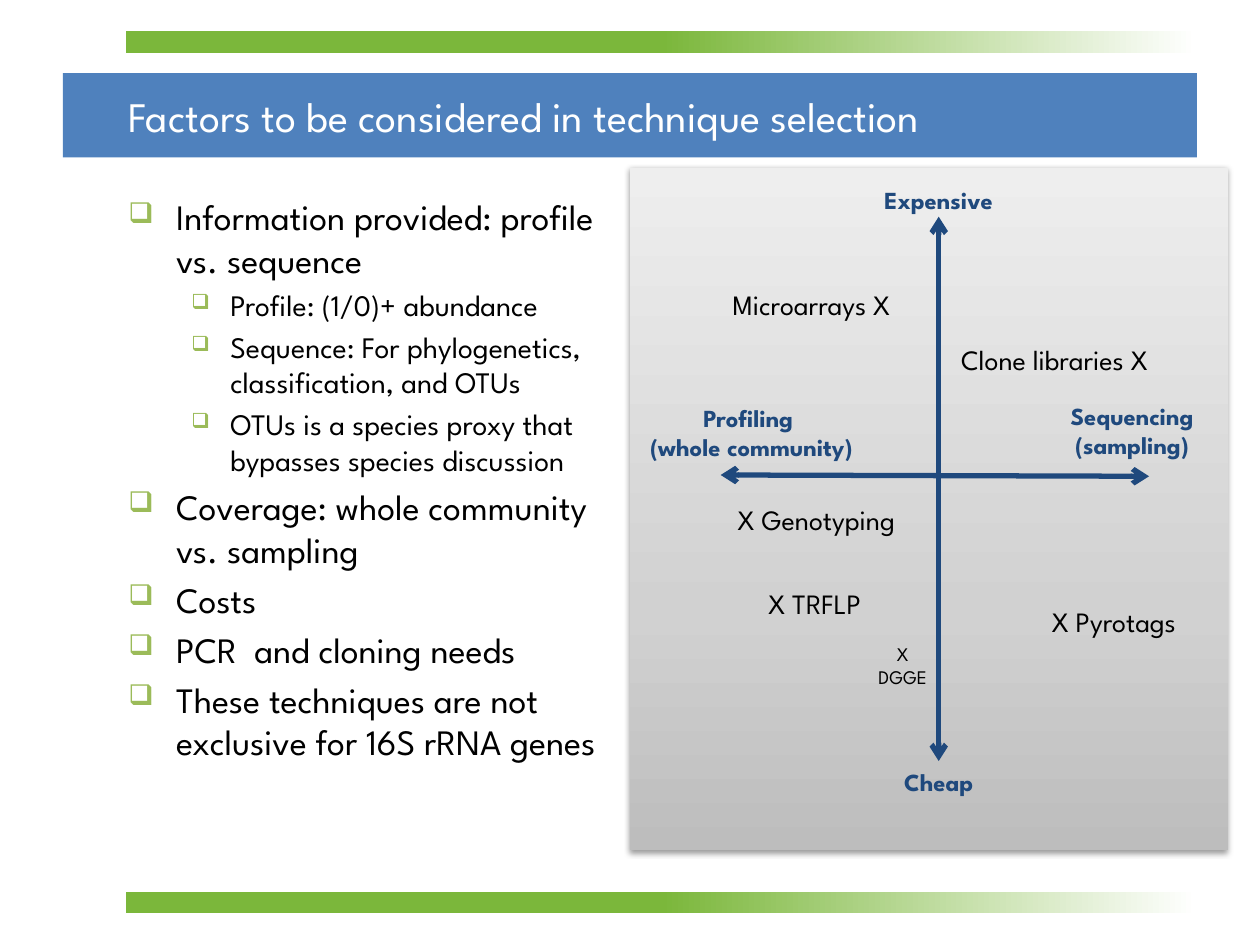
from copy import deepcopy
from lxml import etree
from pptx import Presentation, util as u
from pptx.dml.color import RGBColor
from pptx.enum import shapes as es, text as et
from pptx.oxml import parse_xml
from pptx.oxml.ns import qn

FONT = "League Spartan"
NS = 'xmlns:a="http://schemas.openxmlformats.org/drawingml/2006/main"'
BLUE = RGBColor(0x4F, 0x81, 0xBD)
NAVY = RGBColor(0x1F, 0x49, 0x7D)
GREEN = RGBColor(0x7B, 0xB7, 0x3B)
WHITE = RGBColor(0xFF, 0xFF, 0xFF)
BLACK = RGBColor(0, 0, 0)
GRAYS = [(0, RGBColor(0xBD, 0xBD, 0xBD)), (0.35, RGBColor(0xD1, 0xD1, 0xD1)),
         (1, RGBColor(0xEE, 0xEE, 0xEE))]
LEFT, MID = et.PP_ALIGN.LEFT, et.PP_ALIGN.CENTER

deck = Presentation()
deck.slide_width, deck.slide_height = u.Inches(10), u.Inches(7.5)
slide = deck.slides.add_slide(deck.slide_layouts[5])
shapes = slide.shapes


def block(x, y, w, h):
    box = shapes.add_shape(es.MSO_SHAPE.RECTANGLE, *map(u.Inches, (x, y, w, h)))
    box.shadow.inherit = False
    box.line.fill.background()
    return box


def write(para, words, size, color, bold=False):
    run = para.add_run()
    run.text = words
    run.font.name, run.font.size = FONT, u.Pt(size)
    run.font.color.rgb, run.font.bold = color, bold


band = block(0.5, 0.58, 9, 0.67)
band.fill.solid()
band.fill.fore_color.rgb = BLUE

for y in (0.25, 7.08):
    bar = block(1, y, 8.5, 0.17)
    bar.fill.gradient()
    bar.fill.gradient_angle = 0
    for stop, (pos, color) in zip(bar.fill.gradient_stops, [(0.5, GREEN), (1, WHITE)]):
        stop.position, stop.color.rgb = pos, color

panel = block(5, 1.33, 4.75, 5.42)
panel.fill.gradient()
panel.fill.gradient_angle = 90
stops = panel.element.spPr.find(".//" + qn("a:gsLst"))
stops.append(deepcopy(stops[0]))
for stop, (pos, color) in zip(panel.fill.gradient_stops, GRAYS):
    stop.position, stop.color.rgb = pos, color
panel.element.spPr.find(qn("a:effectLst")).append(parse_xml(
    f'<a:outerShdw {NS} blurRad="39370" dist="20320" dir="5400000" rotWithShape="0">'
    '<a:srgbClr val="000000"><a:alpha val="38000"/></a:srgbClr></a:outerShdw>'))

title = shapes.title
title.left, title.top = u.Inches(0.92), u.Inches(0.58)
title.width, title.height = u.Inches(8.58), u.Inches(0.67)
title.text_frame.vertical_anchor = et.MSO_ANCHOR.MIDDLE
para = title.text_frame.paragraphs[0]
para.alignment = LEFT
write(para, "Factors to be considered in technique selection", 24, WHITE)
title.element.getparent().append(title.element)

points = [
    (0, "Information provided: profile vs. sequence"),
    (1, "Profile: (1/0)+ abundance"),
    (1, "Sequence: For phylogenetics, classification, and OTUs"),
    (1, "OTUs is a species proxy that bypasses species discussion"),
    (0, "Coverage: whole community vs. sampling"),
    (0, "Costs"),
    (0, "PCR  and cloning needs"),
    (0, "These techniques are not exclusive for 16S rRNA genes"),
]
levels = [(20.4, 0.38, 0.38, 80), (17, 0.81, 0.31, 70)]
body = shapes.add_textbox(*map(u.Inches, (0.92, 1.5, 4.08, 5.2))).text_frame
body.word_wrap = True
for i, (level, words) in enumerate(points):
    size, left, hang, scale = levels[level]
    para = body.add_paragraph() if i else body.paragraphs[0]
    para.level = level
    para.space_before = u.Pt(size * 0.2)
    props = para._p.get_or_add_pPr()
    props.set("marL", str(u.Inches(left)))
    props.set("indent", str(-u.Inches(hang)))
    color = etree.SubElement(props, qn("a:buClr"))
    etree.SubElement(color, qn("a:srgbClr"), val="9BBB59")
    etree.SubElement(props, qn("a:buSzPct"), val=str(scale * 1000))
    etree.SubElement(props, qn("a:buChar"), char="❑")
    write(para, words, size, BLACK)

labels = [
    (8.25, 3.13, 1.52, 0.57, ["Sequencing ", "(sampling) "], 14, MID),
    (4.75, 3.15, 2.43, 0.57, ["Profiling ", "(whole community)"], 14, MID),
    (6.49, 1.42, 1.92, 0.34, ["Expensive"], 14, MID),
    (6.49, 6.04, 1.92, 0.34, ["Cheap"], 14, MID),
    (6, 4.61, 1.17, 0.37, ["X TRFLP"], 16, LEFT),
    (5.64, 2.23, 1.6, 0.64, ["Microarrays X"], 16, MID),
    (7.53, 2.67, 1.97, 0.37, ["Clone libraries X"], 16, LEFT),
    (8.25, 4.75, 1.54, 0.37, ["X Pyrotags"], 16, LEFT),
    (5.5, 3.94, 1.96, 0.37, ["X Genotyping"], 16, MID),
    (6.83, 5.05, 0.67, 0.47, ["X", "DGGE"], 11, MID),
]
boxes = {}
for x, y, w, h, lines, size, align in labels:
    box = shapes.add_textbox(*map(u.Inches, (x, y, w, h)))
    boxes[lines[0]] = box
    frame = box.text_frame
    frame.word_wrap = size != 11
    axis = size == 14
    for i, words in enumerate(lines):
        para = frame.add_paragraph() if i else frame.paragraphs[0]
        para.alignment = align
        write(para, words, size, NAVY if axis else BLACK, axis)

axes = []
for ends in [(7.45, 1.72, 7.45, 6.04), (9.12, 3.78, 5.72, 3.77)]:
    line = shapes.add_connector(es.MSO_CONNECTOR.STRAIGHT, *map(u.Inches, ends))
    line.line.color.rgb, line.line.width = NAVY, u.Pt(3)
    stroke = line.line._get_or_add_ln()
    for tag in ("a:headEnd", "a:tailEnd"):
        etree.SubElement(stroke, qn(tag), type="arrow")
    etree.SubElement(line.element.spPr, qn("a:effectLst"))
    axes.append(line)
axes[0].end_connect(boxes["Cheap"], 0)

deck.save("out.pptx")
